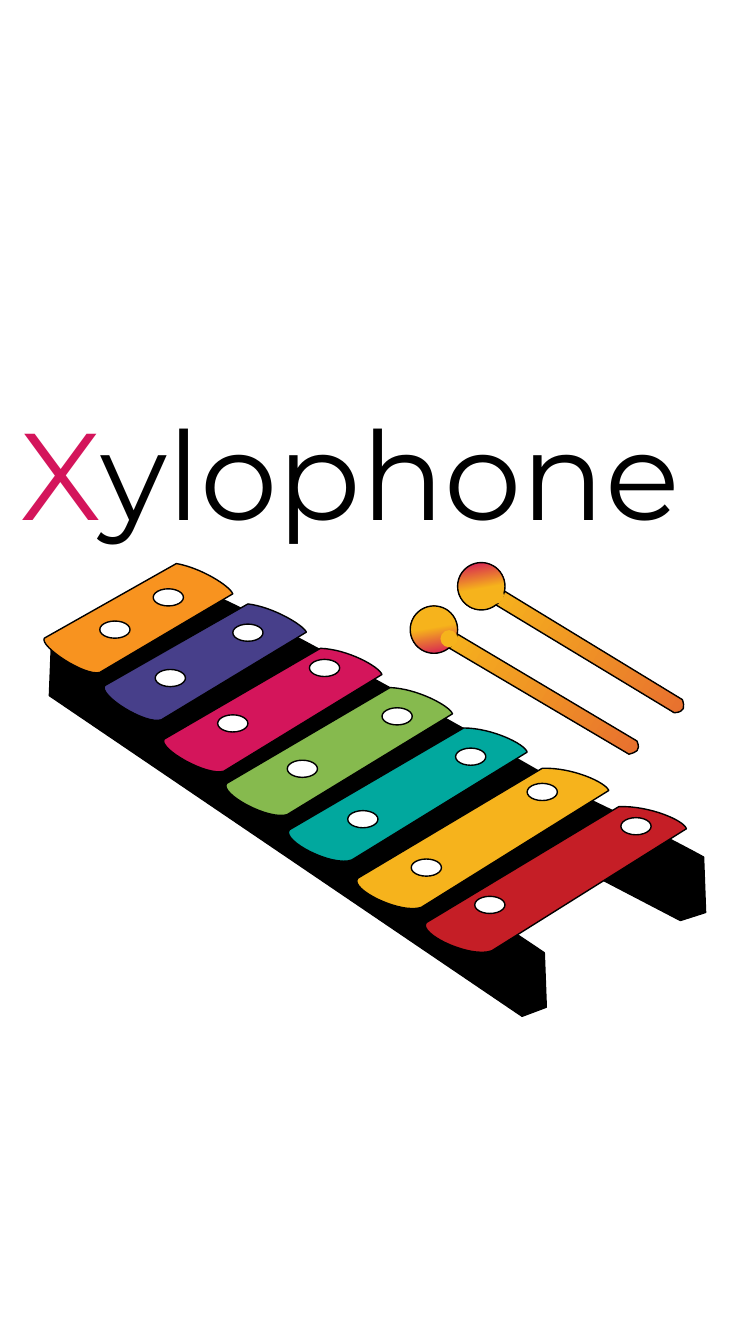
from dataclasses import dataclass
from math import cos, radians, sin

from lxml.etree import SubElement
from pptx import Presentation
from pptx.dml.color import RGBColor
from pptx.enum.shapes import MSO_SHAPE
from pptx.enum.text import MSO_ANCHOR, MSO_AUTO_SIZE, PP_ALIGN
from pptx.oxml.ns import qn
from pptx.shapes.autoshape import Shape
from pptx.shapes.shapetree import GroupShapes
from pptx.slide import Slide
from pptx.util import Inches, Pt

OVAL = MSO_SHAPE.OVAL
TOP = MSO_ANCHOR.TOP
LEFT = PP_ALIGN.LEFT
GROW = MSO_AUTO_SIZE.SHAPE_TO_FIT_TEXT

COLUMNS, ROWS = 7.5, 13.33
CELL = Inches(1)
TITLE_LAYOUT = 5
TITLE_FRAME = (0.1, 3.89, 7.44, 1.58)
BAR_TILT = 325.3
HOLE_SIZE = (0.3, 0.17)
BALL_SIZE = (0.47, 0.47)
JOINT_SIZE = (0.17, 0.17)
PLANK_STEPS = (3, 1, 3)
RAIL_STEPS = (3, 1, 1, 1)
STICK_STEPS = (1, 3, 1)

Point = tuple[float, float]
Frame = tuple[float, float, float, float]


@dataclass(frozen=True)
class Theme:
    font: str = "Montserrat"
    title_size: int = 88
    outline_width: int = 1
    ink: str = "000000"
    paper: str = "FFFFFF"
    pink: str = "D4155B"
    yellow: str = "F6B31C"
    ember: str = "E8702F"


@dataclass(frozen=True)
class Gradient:
    stops: tuple[tuple[float, str], tuple[float, str]]
    angle: float


@dataclass(frozen=True)
class Outline:
    frame: Frame
    points: tuple[Point, ...]
    steps: tuple[int, ...] = PLANK_STEPS
    tilt: float = BAR_TILT


@dataclass(frozen=True)
class Bar:
    colour: str
    outline: Outline
    holes: tuple[Point, Point]


@dataclass(frozen=True)
class Mallet:
    stick: Outline
    ball: Point
    ball_angle: float
    joint: Point


THEME = Theme()
STICK_FILL = Gradient(((0, THEME.yellow), (1, THEME.ember)), 329)

BODY = (
    Outline((1.7, 5.19, 3.65, 4.45), ((4.66, 9.2), (4.51, 9.24), (0.7, 6.71), (0.76, 6.62),
                                      (2.07, 5.89), (2.3, 5.92), (6.25, 8.13), (6.28, 8.21))),
    Outline((0.49, 6.4, 4.93, 3.68), ((0.51, 6.4), (2.05, 7.45), (3.86, 8.4), (5.4, 9.45),
                                      (5.42, 9.99), (5.18, 10.08), (0.49, 6.9)), RAIL_STEPS, 0),
    Outline((1.95, 6.09, 5.05, 3.05), ((2.07, 6.09), (3.1, 6.73), (5.59, 7.74), (6.98, 8.5),
                                       (7, 9.05), (6.75, 9.13), (1.95, 6.63)), RAIL_STEPS, 0),
)

BARS = (
    Bar("F8931F", Outline((0.46, 5.76, 1.81, 0.7), (
        (0.99, 6.67), (0.84, 6.71), (0.39, 6.41), (0.44, 6.33),
        (1.75, 5.59), (1.99, 5.63), (2.28, 5.81), (2.31, 5.89))), ((0.99, 6.16), (1.52, 5.84))),
    Bar("473F8A", Outline((1.04, 6.19, 1.98, 0.7), (
        (1.6, 7.14), (1.44, 7.19), (0.97, 6.89), (1.04, 6.8),
        (2.46, 5.99), (2.71, 6.02), (3.01, 6.2), (3.04, 6.27))), ((1.54, 6.64), (2.31, 6.19))),
    Bar(THEME.pink, Outline((1.62, 6.66, 2.16, 0.7), (
        (2.22, 7.65), (2.05, 7.7), (1.56, 7.42), (1.63, 7.33),
        (3.18, 6.43), (3.45, 6.44), (3.76, 6.61), (3.79, 6.69))), ((2.16, 7.09), (3.07, 6.54))),
    Bar("86BA4E", Outline((2.22, 7.08, 2.27, 0.7), (
        (2.85, 8.08), (2.67, 8.14), (2.17, 7.87), (2.25, 7.77),
        (3.87, 6.82), (4.14, 6.83), (4.46, 7), (4.49, 7.08))), ((2.85, 7.54), (3.79, 7.02))),
    Bar("01A89E", Outline((2.83, 7.5, 2.42, 0.7), (
        (3.49, 8.53), (3.3, 8.6), (2.79, 8.34), (2.87, 8.23),
        (4.6, 7.22), (4.88, 7.22), (5.21, 7.38), (5.23, 7.46))), ((3.45, 8.04), (4.52, 7.42))),
    Bar(THEME.yellow, Outline((3.49, 7.93, 2.58, 0.7), (
        (4.18, 9), (3.98, 9.07), (3.46, 8.82), (3.55, 8.71),
        (5.38, 7.62), (5.68, 7.61), (6.01, 7.76), (6.04, 7.84))), ((4.08, 8.52), (5.23, 7.77))),
    Bar("C51E26", Outline((4.16, 8.34, 2.7, 0.7), (
        (4.88, 9.43), (4.67, 9.51), (4.14, 9.26), (4.23, 9.15),
        (6.14, 8), (6.45, 7.99), (6.79, 8.14), (6.81, 8.22))), ((4.71, 8.89), (6.16, 8.11))),
)

MALLETS = (
    Mallet(Outline((4.87, 5.83, 1.92, 1.24), (
        (4.95, 5.83), (6.77, 6.94), (6.79, 7.01), (6.8, 7.06), (6.69, 7.07), (4.87, 5.97)),
        STICK_STEPS, 0), (4.54, 5.58), 280, (4.83, 5.82)),
    Mallet(Outline((4.41, 6.26, 1.93, 1.22), (
        (4.41, 6.4), (6.24, 7.48), (6.31, 7.46), (6.36, 7.45), (6.32, 7.35), (4.49, 6.26)),
        STICK_STEPS, 0), (4.07, 6.01), 100, (4.37, 6.25)),
)


def paint(shape: Shape, fill: str | Gradient, outlined: bool = True) -> None:
    shape.shadow.inherit = False
    if isinstance(fill, Gradient):
        shape.fill.gradient()
        shape.fill.gradient_angle = fill.angle
        for stop, (position, colour) in zip(shape.fill.gradient_stops, fill.stops):
            stop.position = position
            stop.color.rgb = RGBColor.from_string(colour)
    else:
        shape.fill.solid()
        shape.fill.fore_color.rgb = RGBColor.from_string(fill)
    if outlined:
        shape.line.color.rgb = RGBColor.from_string(THEME.ink)
        shape.line.width = Pt(THEME.outline_width)
    else:
        shape.line.fill.background()


def local_point(point: Point, outline: Outline) -> tuple[int, int]:
    left, top, width, height = outline.frame
    angle = radians(-outline.tilt)
    x, y = point[0] - left - width / 2, point[1] - top - height / 2
    return (round((x * cos(angle) - y * sin(angle) + width / 2) * CELL),
            round((x * sin(angle) + y * cos(angle) + height / 2) * CELL))


def draw_outline(shapes: GroupShapes, outline: Outline, fill: str | Gradient) -> None:
    left, top, width, height = (round(length * CELL) for length in outline.frame)
    right, bottom = left + width, top + height
    builder = shapes.build_freeform(left, top)
    builder.add_line_segments([(right, top), (right, bottom), (left, bottom)])
    shape = builder.convert_to_shape()
    route = next(shape.element.iter(qn("a:path")))
    for child in list(route):
        route.remove(child)
    points = iter(outline.points)
    for index, count in enumerate((1, *outline.steps)):
        kind = "a:moveTo" if index == 0 else "a:lnTo" if count == 1 else "a:cubicBezTo"
        segment = SubElement(route, qn(kind))
        for _ in range(count):
            x, y = local_point(next(points), outline)
            SubElement(segment, qn("a:pt"), x=str(x), y=str(y))
    SubElement(route, qn("a:close"))
    shape.rotation = outline.tilt
    paint(shape, fill)


def draw_oval(shapes: GroupShapes, corner: Point, size: Point, fill: str | Gradient,
              outlined: bool = True) -> None:
    frame = [round(length * CELL) for length in (*corner, *size)]
    paint(shapes.add_shape(OVAL, *frame), fill, outlined)


def draw_title(page: Slide) -> None:
    title = page.shapes.title
    title.left, title.top, title.width, title.height = (
        round(length * CELL) for length in TITLE_FRAME)
    frame = title.text_frame
    frame.word_wrap, frame.auto_size, frame.vertical_anchor = True, GROW, TOP
    para = frame.paragraphs[0]
    para.alignment = LEFT
    for text, colour in (("X", THEME.pink), ("ylophone", THEME.ink)):
        span = para.add_run()
        span.text = text
        span.font.name, span.font.size = THEME.font, Pt(THEME.title_size)
        span.font.color.rgb = RGBColor.from_string(colour)


def draw_instrument(page: Slide) -> None:
    shapes = page.shapes.add_group_shape().shapes
    for part in BODY:
        draw_outline(shapes, part, THEME.ink)
    for bar in BARS:
        draw_outline(shapes, bar.outline, bar.colour)
    for hole in (hole for bar in BARS for hole in bar.holes):
        draw_oval(shapes, hole, HOLE_SIZE, THEME.paper)
    for mallet in MALLETS:
        shapes = page.shapes.add_group_shape().shapes
        draw_outline(shapes, mallet.stick, STICK_FILL)
        ball_fill = Gradient(((0, THEME.pink), (0.54, THEME.yellow)), mallet.ball_angle)
        draw_oval(shapes, mallet.ball, BALL_SIZE, ball_fill)
        draw_oval(shapes, mallet.joint, JOINT_SIZE, THEME.yellow, outlined=False)


deck = Presentation()
deck.slide_width, deck.slide_height = round(COLUMNS * CELL), round(ROWS * CELL)
cover = deck.slides.add_slide(deck.slide_layouts[TITLE_LAYOUT])
draw_title(cover)
draw_instrument(cover)
deck.save("out.pptx")
